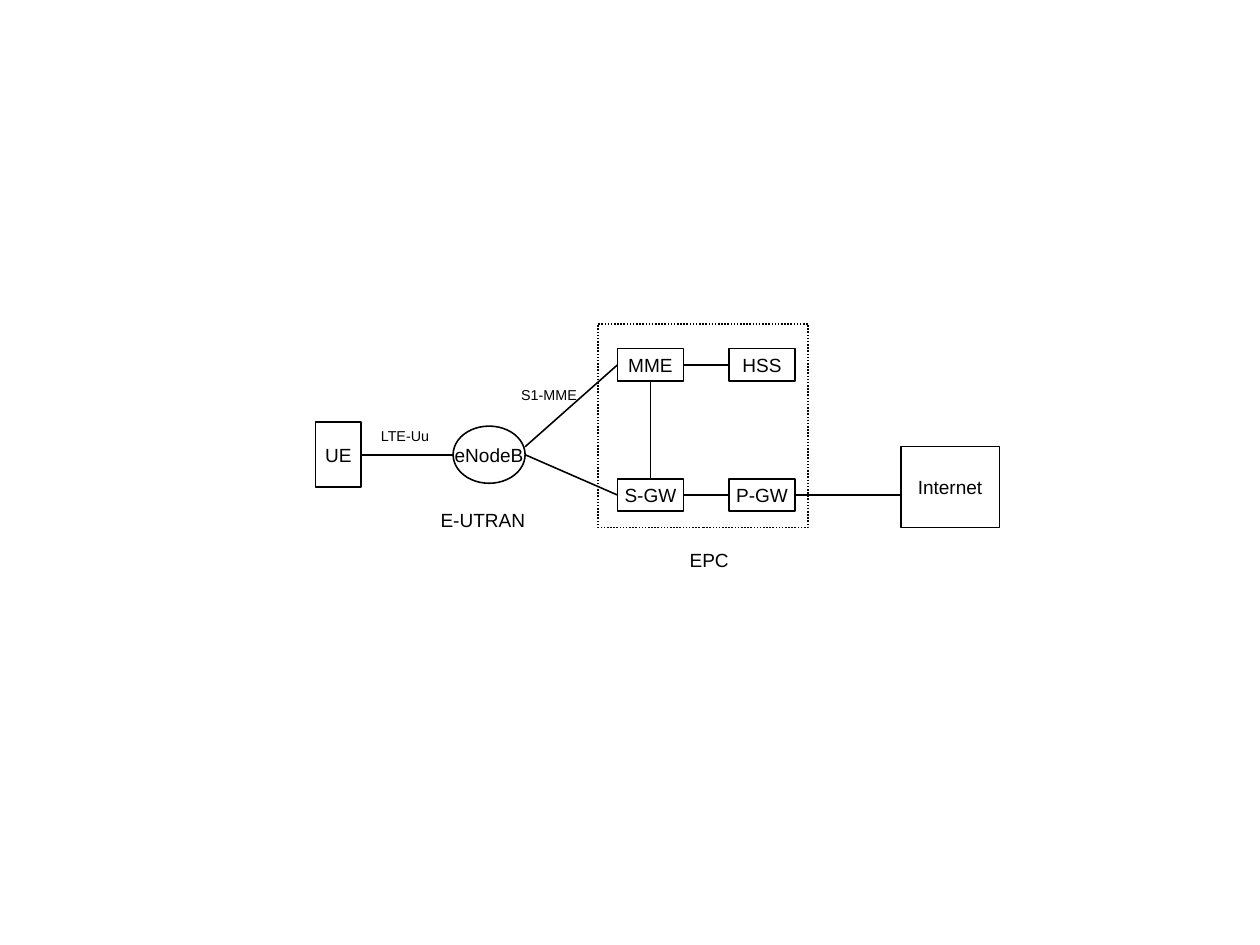
"""Build a slide showing the LTE network architecture."""
from lxml.etree import SubElement
from pptx import Presentation
from pptx.dml.color import RGBColor
from pptx.enum.dml import MSO_LINE
from pptx.enum.shapes import MSO_CONNECTOR, MSO_SHAPE
from pptx.enum.text import MSO_ANCHOR, PP_ALIGN
from pptx.oxml.ns import qn
from pptx.util import Cm, Pt

BLACK = RGBColor(0x00, 0x00, 0x00)
FONT = "Arial"
LINE_WIDTH = Pt(1)
LABEL_HEIGHT = Cm(0.71)


def write(shape, text, size=12, color=BLACK, margin=Cm(0.28)):
    """Write one centred, unwrapped line of text in a shape."""
    frame = shape.text_frame
    frame.word_wrap = False
    frame.vertical_anchor = MSO_ANCHOR.MIDDLE
    frame.margin_left = frame.margin_right = margin
    frame.margin_top = frame.margin_bottom = Cm(0.15)
    paragraph = frame.paragraphs[0]
    paragraph.alignment = PP_ALIGN.CENTER
    run = paragraph.add_run()
    run.text = text
    run.font.name = FONT
    run.font.size = Pt(size)
    run.font.color.rgb = color


def add_node(slide, left, top, width, height, text="", kind=MSO_SHAPE.RECTANGLE):
    """Add an outlined network element and return it."""
    shape = slide.shapes.add_shape(kind, left, top, width, height)
    shape.shadow.inherit = False
    shape.fill.background()
    shape.line.color.rgb = BLACK
    shape.line.width = LINE_WIDTH
    if text:
        write(shape, text)
    return shape


def add_label(slide, left, top, width, text, size=12):
    """Add a free-standing label."""
    label = slide.shapes.add_textbox(left, top, width, LABEL_HEIGHT)
    write(label, text, size=size, margin=0)


def side(shape, x, y):
    """Return the point at the given fractions of a shape's width and height."""
    return shape.left + int(shape.width * x), shape.top + int(shape.height * y)


def add_link(slide, start, end):
    """Draw a straight line between two points."""
    link = slide.shapes.add_connector(MSO_CONNECTOR.STRAIGHT, *start, *end)
    link.line.color.rgb = BLACK
    link.line.width = LINE_WIDTH
    SubElement(link._element.spPr, qn("a:effectLst"))


def add_access(slide, left, top):
    """Draw the terminal and the radio access network, and return the base station."""
    terminal = add_node(slide, left, top, Cm(1.02), Cm(1.45), "UE")
    station = add_node(slide, left + Cm(3.06), top + Cm(0.09), Cm(1.6), Cm(1.27),
                       "eNodeB", kind=MSO_SHAPE.OVAL)
    add_link(slide, side(terminal, 1, 0.5), side(station, 0, 0.5))
    add_label(slide, left + Cm(1.19), top - Cm(0.05), Cm(1.6), "LTE-Uu", size=9)
    add_label(slide, left + Cm(2.26), top + Cm(1.83), Cm(2.92), "E-UTRAN")
    return station


def add_core(slide, left, top):
    """Draw the dashed core network and return its nodes by name."""
    frame = add_node(slide, left, top, Cm(4.67), Cm(4.52))
    frame.line.dash_style = MSO_LINE.ROUND_DOT
    nodes = {}
    for row, names in enumerate((("MME", "HSS"), ("S-GW", "P-GW"))):
        for column, name in enumerate(names):
            nodes[name] = add_node(slide, left + Cm(0.43) + column * Cm(2.48),
                                   top + Cm(0.55) + row * Cm(2.89),
                                   Cm(1.47), Cm(0.72), name)
        first, second = (nodes[name] for name in names)
        add_link(slide, side(first, 1, 0.5), side(second, 0, 0.5))
    add_link(slide, side(nodes["MME"], 0.5, 1), side(nodes["S-GW"], 0.5, 0))
    add_label(slide, left + Cm(1.01), top + Cm(4.88), Cm(2.92), "EPC")
    return nodes


def add_architecture(slide, left, top):
    """Place the three regions and link them."""
    station = add_access(slide, left, top + Cm(2.18))
    core = add_core(slide, left + Cm(6.28), top)
    internet = add_node(slide, left + Cm(13.01), top + Cm(2.72),
                        Cm(2.19), Cm(1.8), "Internet")
    add_link(slide, side(station, 1, 0.36), side(core["MME"], 0, 0.5))
    add_link(slide, side(station, 1, 0.5), side(core["S-GW"], 0, 0.5))
    add_link(slide, side(core["P-GW"], 1, 0.5), side(internet, 0, 0.6))
    add_label(slide, left + Cm(4.39), top + Cm(1.22), Cm(1.6), "S1-MME", size=9)


def main():
    """Create and save the presentation."""
    presentation = Presentation()
    presentation.slide_width = Cm(28)
    presentation.slide_height = Cm(21)
    slide = presentation.slides.add_slide(presentation.slide_layouts[6])
    add_architecture(slide, Cm(7.01), Cm(7.2))
    presentation.save("out.pptx")


if __name__ == "__main__":
    main()
